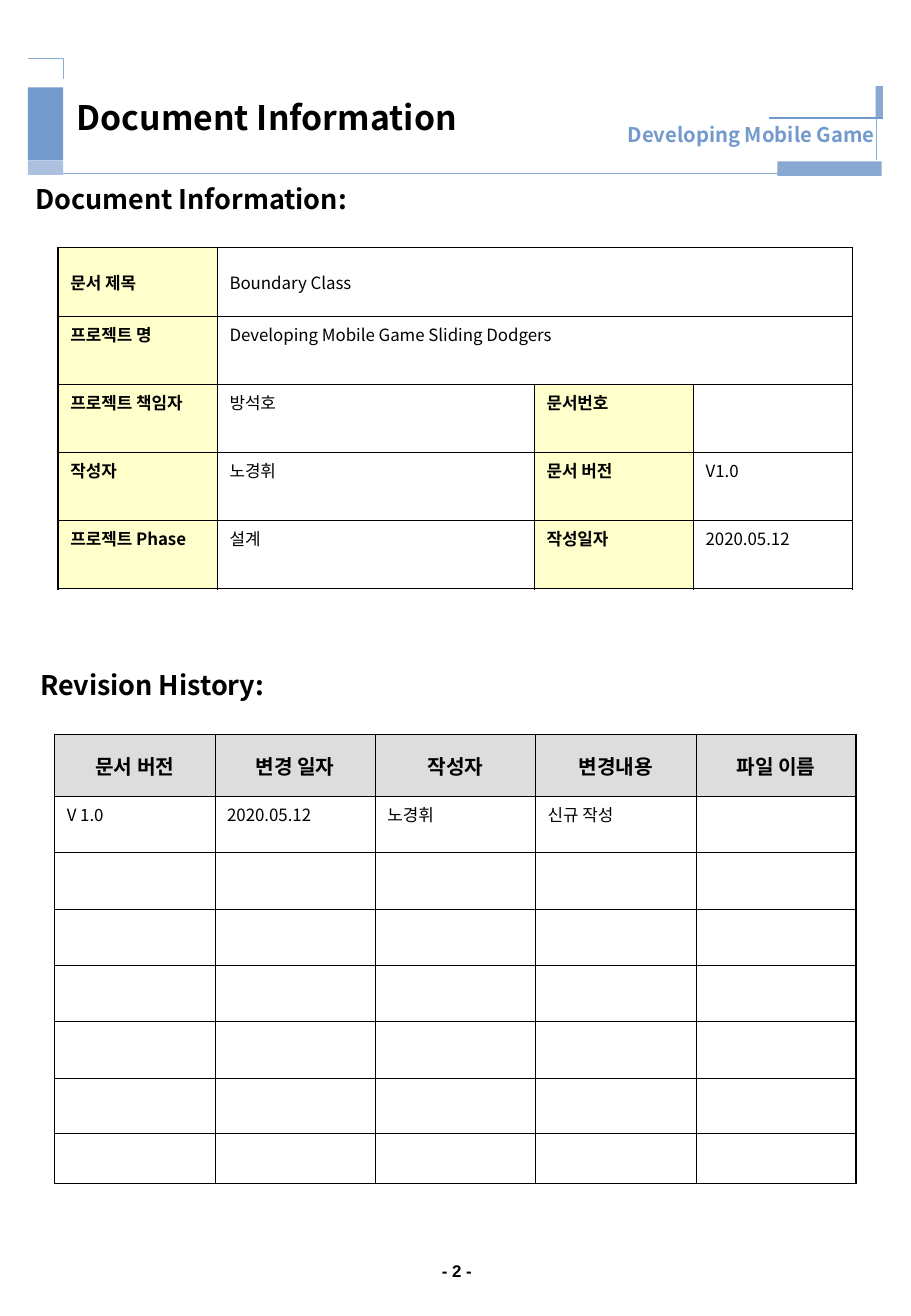
from lxml.etree import SubElement
from pptx import Presentation
from pptx.dml.color import RGBColor
from pptx.enum.shapes import MSO_CONNECTOR, MSO_SHAPE
from pptx.enum.text import MSO_ANCHOR, MSO_AUTO_SIZE, PP_ALIGN
from pptx.oxml import parse_xml
from pptx.oxml.ns import nsdecls, qn
from pptx.util import Inches, Pt

FONT = "Noto Sans CJK KR"
BLACK, WHITE, CREAM, GRAY = "000000", "FFFFFF", "FFFFCC", "DDDDDD"
BLUE, STEEL, PALE, HAIRLINE = "739ACD", "89A9D3", "ABC1DF", "8DADD7"
THIN, THICK = 0.45, 1.08


def color(value):
    return RGBColor.from_string(value)


def write(frame, text, size=10, bold=False, fill=BLACK, font=FONT,
          align=PP_ALIGN.LEFT, before=0):
    """Fill a text frame; an empty text only sets the height of its line."""
    paragraph = frame.paragraphs[0]
    paragraph.alignment = align
    paragraph.space_before = Pt(before)
    if not text:
        end = SubElement(paragraph._p, qn("a:endParaRPr"))
        end.set("sz", str(size * 100))
        return
    run = paragraph.add_run()
    run.text = text
    run.font.size = Pt(size)
    run.font.bold = bold
    run.font.color.rgb = color(fill)
    run.font.name = font
    SubElement(run._r.get_or_add_rPr(), qn("a:ea")).set("typeface", font)


def set_frame(frame, insets, anchor=MSO_ANCHOR.TOP):
    frame.word_wrap = True
    frame.auto_size = MSO_AUTO_SIZE.NONE
    frame.vertical_anchor = anchor
    (frame.margin_left, frame.margin_top,
     frame.margin_right, frame.margin_bottom) = map(Inches, insets)


def add_label(slide, box, text, insets=(0, 0, 0, 0), anchor=MSO_ANCHOR.TOP, **style):
    frame = slide.shapes.add_textbox(*map(Inches, box)).text_frame
    set_frame(frame, insets, anchor)
    write(frame, text, **style)


def add_block(slide, box, fill):
    block = slide.shapes.add_shape(MSO_SHAPE.RECTANGLE, *map(Inches, box))
    block.shadow.inherit = False
    block.fill.solid()
    block.fill.fore_color.rgb = color(fill)
    block.line.fill.background()


def add_rule(slide, start, end, stroke=HAIRLINE, width=0.25):
    rule = slide.shapes.add_connector(
        MSO_CONNECTOR.STRAIGHT, *map(Inches, start + end))
    rule.line.color.rgb = color(stroke)
    rule.line.width = Pt(width)
    SubElement(rule._element.spPr, qn("a:effectLst"))


def add_corner(slide, left, top, width, height):
    builder = slide.shapes.build_freeform(Inches(left), Inches(top))
    right = Inches(left + width)
    builder.add_line_segments(
        [(right, Inches(top)), (right, Inches(top + height))], close=False)
    corner = builder.convert_to_shape()
    corner.shadow.inherit = False
    corner.fill.background()
    corner.line.color.rgb = color(HAIRLINE)
    corner.line.width = Pt(0.25)


def add_header(slide, left, top, width):
    right = left + width
    bar = 0.29
    add_corner(slide, left, top, bar, 0.17)
    add_block(slide, (left, top + 0.84, bar, 0.12), PALE)
    add_block(slide, (left, top + 0.24, bar, 0.6), BLUE)
    add_block(slide, (right - 0.06, top + 0.23, 0.06, 0.26), STEEL)
    add_rule(slide, (left + bar, top + 0.95), (right - 0.81, top + 0.95))
    add_block(slide, (right - 0.87, top + 0.85, 0.86, 0.12), STEEL)
    add_rule(slide, (right - 0.06, top + 0.84), (right - 0.06, top + 0.48))
    add_rule(slide, (right, top + 0.49), (right - 0.94, top + 0.49), BLUE, 1)
    add_label(slide, (right - 2.16, top + 0.53, 2.23, 0.2), "Developing Mobile Game",
              (0.02, 0, 0.1, 0), size=12, bold=True, fill=BLUE, align=PP_ALIGN.CENTER)

    title = slide.shapes.title
    title.left, title.top, title.width, title.height = map(
        Inches, (left + 0.3, top + 0.27, 3.61, 0.55))
    set_frame(title.text_frame, (0.1, 0.05, 0.1, 0.05))
    write(title.text_frame, "Document Information", size=20, bold=True)


def add_heading(slide, box, text):
    add_label(slide, box, text, (0.06, 0.01, 0.06, 0.01),
              size=16, bold=True, before=4)


def set_borders(cell, **widths):
    properties = cell._tc.get_or_add_tcPr()
    for index, side in enumerate("LRTB"):
        properties.insert(index, parse_xml(
            f'<a:ln{side} {nsdecls("a")} w="{round(widths[side] * 12700)}">'
            f'<a:solidFill><a:srgbClr val="{BLACK}"/></a:solidFill></a:ln{side}>'))


def add_grid(slide, left, top, columns, heights, texts, cell_style):
    """Draw a framed table; cell_style(row, column) gives fill, anchor and text format."""
    table = slide.shapes.add_table(
        len(heights), len(columns), Inches(left), Inches(top),
        Inches(sum(columns)), Inches(sum(heights))).table
    table.first_row = table.horz_banding = False
    for column, width in zip(table.columns, columns):
        column.width = Inches(width)
    last_row, last_column = len(heights) - 1, len(columns) - 1
    for r, (height, row_texts) in enumerate(zip(heights, texts)):
        table.rows[r].height = Inches(height)
        final = len(row_texts) - 1
        if final < last_column:
            table.cell(r, final).merge(table.cell(r, last_column))
        for c in range(len(columns)):
            cell = table.cell(r, c)
            fill, anchor, style = cell_style(r, min(c, final))
            cell.fill.solid()
            cell.fill.fore_color.rgb = color(fill)
            cell.vertical_anchor = anchor
            set_borders(cell, L=THIN if c else THICK, T=THIN if r else THICK,
                        R=THICK if c >= min(final, last_column) else THIN,
                        B=THICK if r == last_row else THIN)
            if c <= final:
                write(cell.text_frame, row_texts[c], **style)


def add_document_information(slide, left, top):
    add_heading(slide, (left, top, 6.94, 0.27), "Document Information:")
    facts = [
        ["문서 제목", "Boundary Class"],
        ["프로젝트 명", "Developing Mobile Game Sliding Dodgers"],
        ["프로젝트 책임자", "방석호", "문서번호", ""],
        ["작성자", "노경휘", "문서 버전", "V1.0"],
        ["프로젝트 Phase", "설계", "작성일자", "2020.05.12"],
    ]

    def fact_style(row, column):
        is_name = column % 2 == 0
        anchor = MSO_ANCHOR.TOP if row else MSO_ANCHOR.MIDDLE
        return CREAM if is_name else WHITE, anchor, dict(bold=is_name, before=2.5)

    add_grid(slide, left + 0.25, top + 0.55, [1.31, 2.61, 1.31, 1.31],
             [2.81 / len(facts)] * len(facts), facts, fact_style)


def add_revision_history(slide, left, top):
    add_heading(slide, (left, top, 7.04, 0.36), "Revision History:")
    heights = [0.51, 0.46, 0.47, 0.46, 0.46, 0.47, 0.46, 0.41]
    revisions = [
        ["문서 버전", "변경 일자", "작성자", "변경내용", "파일 이름"],
        ["V 1.0", "2020.05.12", "노경휘", "신규 작성", ""],
    ]
    revisions += [[""] * 5] * (len(heights) - len(revisions))

    def revision_style(row, column):
        if row == 0:
            return GRAY, MSO_ANCHOR.MIDDLE, dict(
                size=12, bold=True, align=PP_ALIGN.CENTER, before=3)
        return WHITE, MSO_ANCHOR.TOP, dict(before=2.5)

    add_grid(slide, left + 0.18, top + 0.55, [1.32] * 5,
             heights, revisions, revision_style)


def main():
    deck = Presentation()
    deck.slide_width, deck.slide_height = Inches(7.5), Inches(10.84)
    slide = deck.slides.add_slide(deck.slide_layouts[5])
    add_header(slide, 0.23, 0.48, 7.04)
    add_document_information(slide, 0.23, 1.49)
    add_revision_history(slide, 0.27, 5.5)
    add_label(slide, (3.32, 10.38, 0.88, 0.17), "- 2 -", anchor=MSO_ANCHOR.MIDDLE,
              bold=True, font="Arial", align=PP_ALIGN.CENTER)
    deck.save("out.pptx")


if __name__ == "__main__":
    main()
